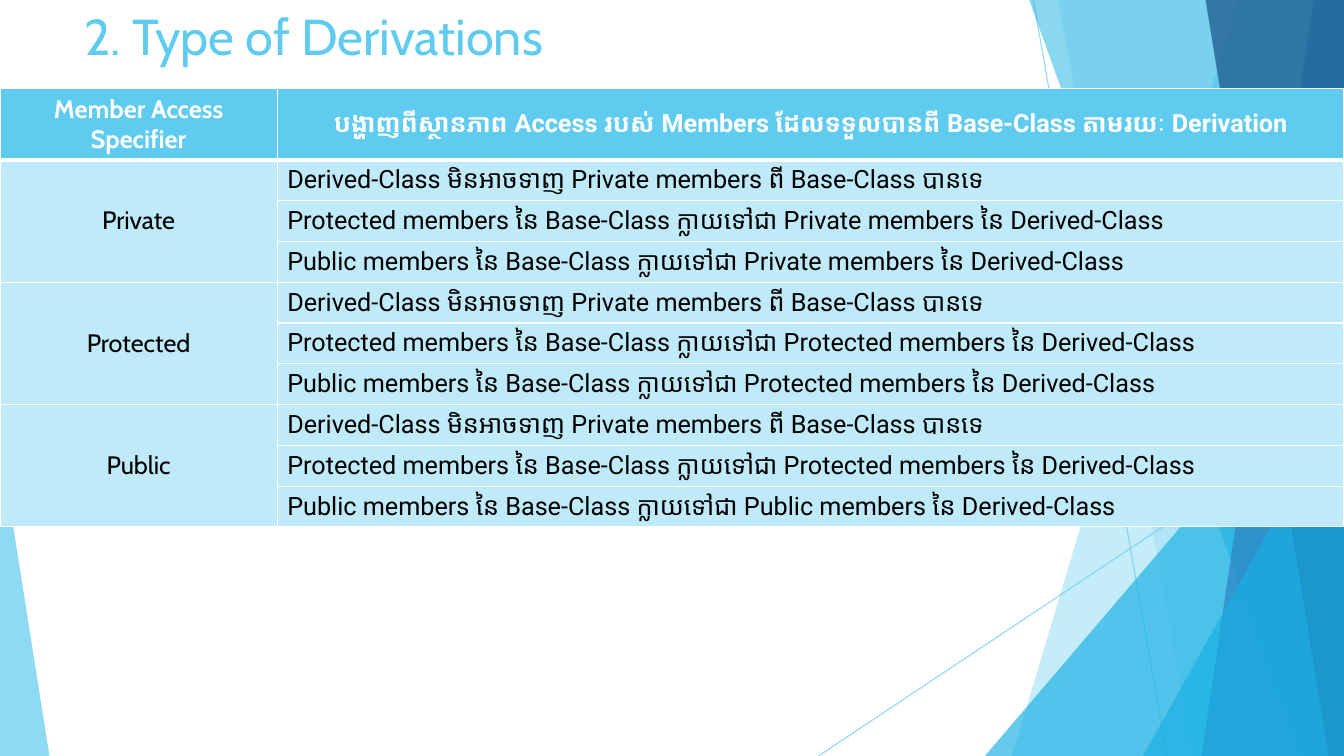
from lxml import etree
from pptx import Presentation
from pptx import util as u
from pptx.dml.color import RGBColor
from pptx.enum import shapes, text
from pptx.oxml.ns import qn

SKY = RGBColor(0x5F, 0xCB, 0xEF)
CYAN = RGBColor(0x17, 0xB0, 0xE4)
BLUE = RGBColor(0x2E, 0x83, 0xC3)
NAVY = RGBColor(0x22, 0x62, 0x92)
PALE = RGBColor(0xBF, 0xEA, 0xF9)
WHITE = RGBColor(0xFF, 0xFF, 0xFF)
BLACK = RGBColor(0, 0, 0)

HEADER = (
    ["Member Access", "Specifier"],
    ["បង្ហាញពីស្ថានភាព Access របស់ Members ដែលទទួលបានពី Base-Class តាមរយៈ Derivation"],
)
HIDDEN = "Derived-Class មិនអាចទាញ Private members ពី Base-Class បានទេ"
BECOMES = "{} members នៃ Base-Class ក្លាយទៅជា {} members នៃ Derived-Class"
# Derivation: what protected and public members turn into
DERIVATIONS = {
    "Private": ("Private", "Private"),
    "Protected": ("Protected", "Protected"),
    "Public": ("Protected", "Public"),
}


def set_alpha(fill_parent, percent):
    color = next(fill_parent.iter(qn("a:srgbClr")))
    etree.SubElement(color, qn("a:alpha"), val=str(percent * 1000))


class Slide:
    """Draws on one slide; every length is a percentage of its width or height."""

    latin, body, size = "Cabin", "Roboto", 18

    def __init__(self, deck):
        self.deck = deck
        self.page = deck.slides.add_slide(deck.slide_layouts[6])

    def x(self, share):
        return u.Emu(round(self.deck.slide_width * share / 100))

    def y(self, share):
        return u.Emu(round(self.deck.slide_height * share / 100))

    def line(self, x1, y1, x2, y2):
        line = self.page.shapes.add_connector(
            shapes.MSO_CONNECTOR.STRAIGHT,
            self.x(x1), self.y(y1), self.x(x2), self.y(y2))
        line.line.color.rgb = SKY
        line.line.width = u.Pt(0.75)
        properties = line._element.spPr
        set_alpha(properties, 70)
        etree.SubElement(properties, qn("a:effectLst"))

    def paint(self, shape, color, alpha):
        shape.shadow.inherit = False
        shape.fill.solid()
        shape.fill.fore_color.rgb = color
        set_alpha(shape._element.spPr, alpha)
        shape.line.fill.background()

    def panel(self, top_x, bottom_x, color, alpha):
        """Full-height panel with a slanted left side, reaching the right edge."""
        builder = self.page.shapes.build_freeform(self.x(top_x), 0, scale=1.0)
        corners = [(100, 0), (100, 100), (bottom_x, 100)]
        builder.add_line_segments(
            [(self.x(x), self.y(y)) for x, y in corners], close=True)
        self.paint(builder.convert_to_shape(), color, alpha)

    def corner(self, left, top, width, apex, color, alpha):
        """Triangle standing on the bottom edge."""
        triangle = self.page.shapes.add_shape(
            shapes.MSO_SHAPE.ISOSCELES_TRIANGLE,
            self.x(left), self.y(top), self.x(width), self.y(100 - top))
        triangle.adjustments[0] = apex
        self.paint(triangle, color, alpha)

    def add_span(self, para, words, font, size, color, bold=False):
        span = para.add_run()
        span.text = words
        span.font.name = font
        span.font.size = u.Pt(size)
        span.font.color.rgb = color
        span.font.bold = bold

    def title(self, words, left, top, width, height):
        box = self.page.shapes.add_textbox(
            self.x(left), self.y(top), self.x(width), self.y(height))
        box.text_frame.word_wrap = True
        box.text_frame.vertical_anchor = text.MSO_ANCHOR.TOP
        self.add_span(box.text_frame.paragraphs[0], words, self.latin, 36, SKY)

    def table(self, top, columns, rows):
        frame = self.page.shapes.add_table(
            len(rows), len(columns), 0, self.y(top),
            self.x(sum(columns)), self.y(sum(rows)))
        table = frame.table
        for column, width in zip(table.columns, columns):
            column.width = self.x(width)
        for row, height in zip(table.rows, rows):
            row.height = self.y(height)
        return table

    def style_cell(self, cell, fill, bottom=1):
        cell.fill.solid()
        cell.fill.fore_color.rgb = fill
        cell.vertical_anchor = text.MSO_ANCHOR.MIDDLE
        properties = cell._tc.get_or_add_tcPr()
        widths = {"lnL": 1, "lnR": 1, "lnT": 1, "lnB": bottom}
        for place, (side, width) in enumerate(widths.items()):
            border = etree.Element(qn("a:" + side), w=str(u.Pt(width)))
            solid = etree.SubElement(border, qn("a:solidFill"))
            etree.SubElement(solid, qn("a:srgbClr"), val=str(WHITE))
            properties.insert(place, border)

    def fill_cell(self, cell, lines, font, color, bold=False, centred=True):
        for number, words in enumerate(lines):
            frame = cell.text_frame
            para = frame.add_paragraph() if number else frame.paragraphs[0]
            para.alignment = text.PP_ALIGN.CENTER if centred else text.PP_ALIGN.LEFT
            self.add_span(para, words, font, self.size, color, bold)


def draw_facets(slide):
    slide.line(76.88, 0, 86.85, 100)
    slide.line(100, 53.73, 60.9, 100)
    slide.panel(92.1, 75.3, SKY, 36)
    slide.panel(78.75, 88.73, SKY, 20)
    slide.corner(73.28, 44.4, 26.72, 1, CYAN, 66)
    slide.panel(76.58, 96.83, CYAN, 50)
    slide.panel(97.73, 89.4, BLUE, 70)
    slide.panel(89.7, 98.85, NAVY, 80)
    slide.corner(85.05, 52.4, 14.95, 1, CYAN, 66)
    slide.corner(0, 58.53, 3.68, 0, SKY, 70)


def draw_derivations(slide):
    table = slide.table(11.73, [20.63, 79.37], [9.4] + [5.4] * 9)
    for number, row in enumerate(table.rows):
        for cell in row.cells:
            if number == 0:
                slide.style_cell(cell, SKY, bottom=3)
            else:
                slide.style_cell(cell, PALE)

    for column, font in enumerate((slide.latin, slide.body)):
        slide.fill_cell(table.cell(0, column), HEADER[column], font, WHITE, bold=True)

    for group, (access, (protected, public)) in enumerate(DERIVATIONS.items()):
        first = 1 + 3 * group
        name = table.cell(first, 0)
        name.merge(table.cell(first + 2, 0))
        name.margin_left = name.margin_right = name.margin_top = name.margin_bottom = 0
        slide.fill_cell(name, [access], slide.latin, BLACK)
        effects = [HIDDEN, BECOMES.format("Protected", protected),
                   BECOMES.format("Public", public)]
        for offset, effect in enumerate(effects):
            slide.fill_cell(table.cell(first + offset, 1), [effect],
                            slide.body, BLACK, centred=False)


def main():
    deck = Presentation()
    deck.slide_width, deck.slide_height = u.Inches(13.33), u.Inches(7.5)
    slide = Slide(deck)
    draw_facets(slide)
    slide.title("2. Type of Derivations", 5.55, 0, 70.5, 19.2)
    draw_derivations(slide)
    deck.save("out.pptx")


if __name__ == "__main__":
    main()
